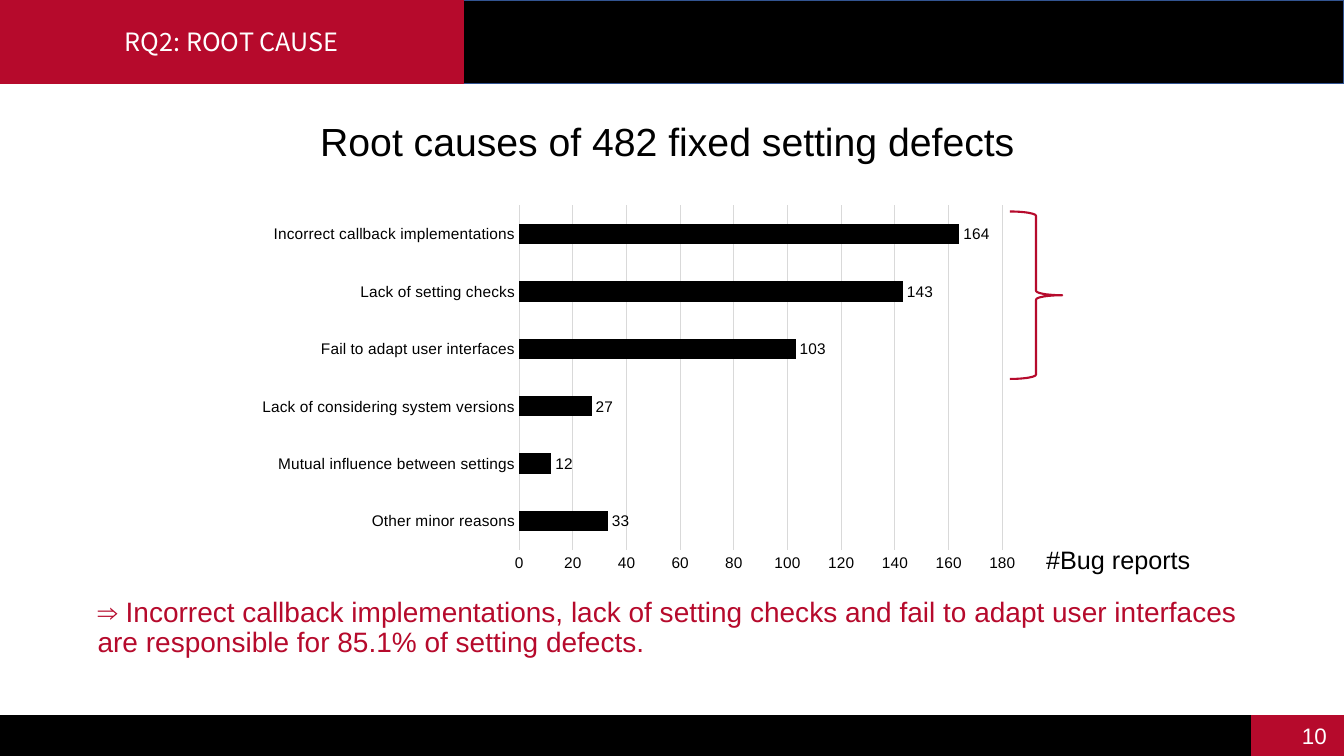
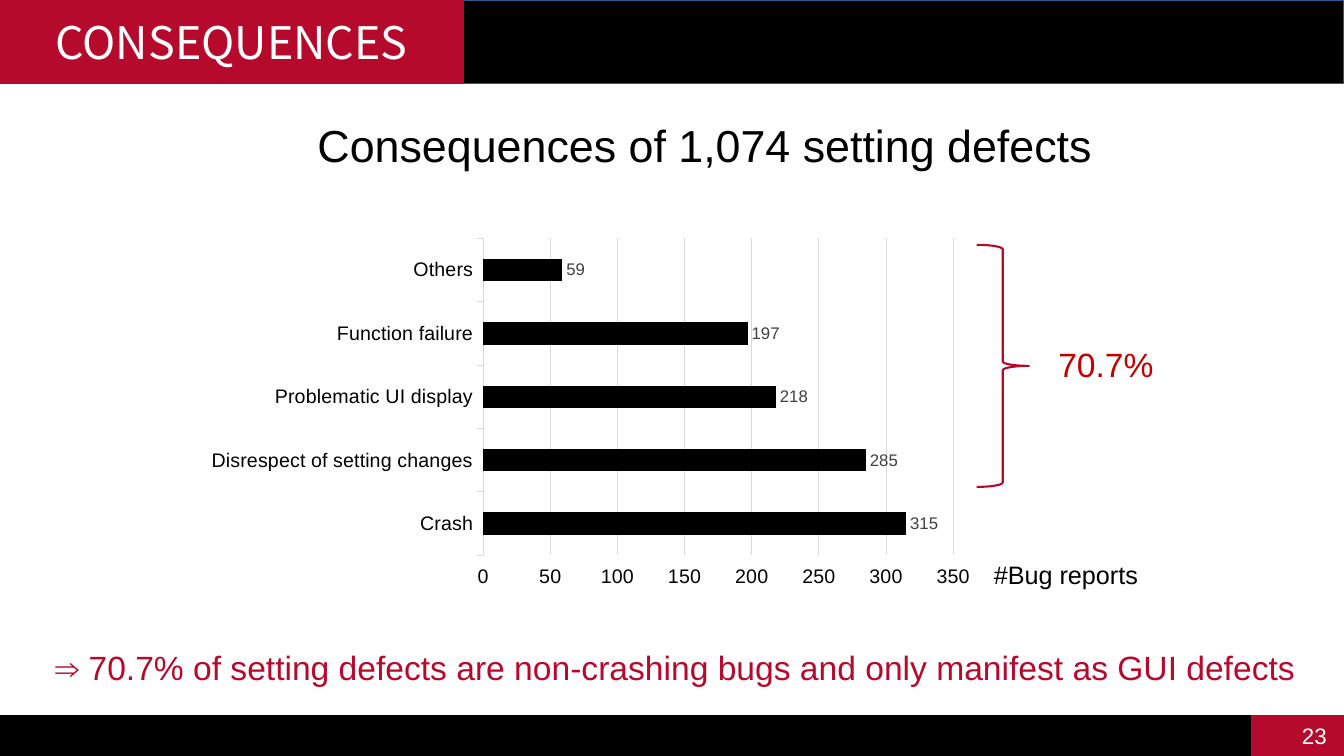
from lxml import etree
from pptx import Presentation
from pptx import util as u
from pptx.chart.data import CategoryChartData
from pptx.dml.color import RGBColor
from pptx.enum import chart as ch, shapes, text
from pptx.oxml import parse_xml
from pptx.oxml.ns import nsdecls

BLACK = RGBColor(0, 0, 0)
WHITE = RGBColor(255, 255, 255)
RED = RGBColor(0xB6, 0x0A, 0x2C)
DARK = RGBColor(0xC0, 0, 0)
BLUE = RGBColor(0x32, 0x54, 0x91)
GRID = RGBColor(0xD9, 0xD9, 0xD9)
GRAY = RGBColor(0x40, 0x40, 0x40)
SANS = "Arial"
HEAD = "Noto Sans CJK SC"
MID = text.PP_ALIGN.CENTER
WIDE = 33.87


def shape(slide, kind, box, fill, line, width=1):
    item = slide.shapes.add_shape(kind, *map(u.Cm, box))
    item.shadow.inherit = False
    if fill is None:
        item.fill.background()
    else:
        item.fill.solid()
        item.fill.fore_color.rgb = fill
    item.line.color.rgb = line
    item.line.width = u.Pt(width)
    return item


def write(slide, box, words, size, color, font=SANS, align=None, item=None):
    item = item or slide.shapes.add_textbox(*map(u.Cm, box))
    frame = item.text_frame
    frame.word_wrap = True
    para = frame.paragraphs[0]
    para.text = words
    para.alignment = align
    para.font.name = font
    para.font.size = u.Pt(size)
    para.font.color.rgb = color
    return frame


pages = [
    dict(
        head="RQ2: ROOT CAUSE", hsize=18, num="10",
        title="Root causes of 482 fixed setting defects", tsize=28,
        tbox=(7.82, 2.82, 18.3, 1.45),
        cbox=(6.1, 4.98, 19.96, 9.65), plot=(0.35, 0.02, 0.61, 0.9),
        data={
            "Other minor reasons": 33,
            "Mutual influence between settings": 12,
            "Lack of considering system versions": 27,
            "Fail to adapt user interfaces": 103,
            "Lack of setting checks": 143,
            "Incorrect callback implementations": 164,
        },
        top=180, step=20, tick=ch.XL_TICK_MARK.NONE,
        asize=11, lsize=11, lcolor=BLACK,
        brace=(25.45, 5.33, 1.32, 4.22), unit=(25.32, 13.59, 4.93, 1.02),
        end="⇒ Incorrect callback implementations, lack of setting checks and "
            "fail to adapt user interfaces are responsible for 85.1% of setting defects.",
        esize=20, ebox=(2.21, 14.94, 29.41, 1.8),
    ),
    dict(
        head="CONSEQUENCES", hsize=32, num="23",
        title="Consequences of 1,074 setting defects", tsize=32,
        tbox=(7.75, 2.84, 20.3, 1.63),
        cbox=(4.93, 5.82, 19.91, 9.19), plot=(0.364, 0.02, 0.595, 0.87),
        data={
            "Crash": 315,
            "Disrespect of setting changes": 285,
            "Problematic UI display": 218,
            "Function failure": 197,
            "Others": 59,
        },
        top=350, step=50, tick=ch.XL_TICK_MARK.OUTSIDE,
        asize=14, lsize=12, lcolor=GRAY,
        brace=(24.61, 6.17, 1.32, 6.1), unit=(24, 13.97, 4.93, 1.02),
        share="70.7%", sbox=(26.42, 8.53, 3.12, 1.27),
        end="⇒ 70.7% of setting defects are non-crashing bugs and only manifest as GUI defects",
        esize=24, ebox=(1.14, 16.28, 32.08, 1.17),
    ),
]

deck = Presentation()
deck.slide_width = u.Cm(WIDE)
deck.slide_height = u.Cm(19.05)
blank = deck.slide_layouts[6]
rect = shapes.MSO_SHAPE.RECTANGLE
base = deck.slide_master.shapes.element

for page in pages:
    slide = deck.slides.add_slide(blank)
    if page is pages[0]:
        for left, fill in ((0, BLACK), (31.54, RED)):
            foot = shape(slide, rect, (left, 18.03, WIDE - left, 1.02), fill, fill)
            base.append(foot.element)

    shape(slide, rect, (0, 0, WIDE, 2.11), BLACK, BLUE)
    band = shape(slide, rect, (0, 0, 11.68, 2.11), RED, RED)
    write(slide, None, page["head"], page["hsize"], WHITE, HEAD, MID, band)
    num = write(slide, (32.39, 17.88, 1.47, 1.3), page["num"], 16, WHITE, align=MID)
    num.vertical_anchor = text.MSO_ANCHOR.MIDDLE

    data = CategoryChartData()
    data.categories = list(page["data"])
    data.add_series("Series 1", list(page["data"].values()))
    chart = slide.shapes.add_chart(
        ch.XL_CHART_TYPE.BAR_CLUSTERED, *map(u.Cm, page["cbox"]), data).chart
    chart.has_legend = False
    chart.has_title = False
    chart.font.name = SANS
    chart.font.size = u.Pt(page["asize"])
    chart.font.color.rgb = BLACK
    for axis in (chart.category_axis, chart.value_axis):
        axis.major_tick_mark = page["tick"]
        axis.minor_tick_mark = ch.XL_TICK_MARK.NONE
        axis.tick_labels.font.size = u.Pt(page["asize"])
    row, val = chart.category_axis, chart.value_axis
    val.minimum_scale, val.maximum_scale = 0, page["top"]
    val.major_unit = page["step"]
    val.format.line.fill.background()
    for line in (row.format.line, val.major_gridlines.format.line):
        line.color.rgb = GRID
        line.width = u.Pt(0.75)
    bars = chart.plots[0]
    bars.gap_width = 182
    bars.vary_by_categories = False
    fill = bars.series[0].format.fill
    fill.solid()
    fill.fore_color.rgb = BLACK
    bars.has_data_labels = True
    tags = bars.data_labels
    tags.show_value = True
    tags.position = ch.XL_LABEL_POSITION.OUTSIDE_END
    tags.font.name = SANS
    tags.font.size = u.Pt(page["lsize"])
    tags.font.color.rgb = page["lcolor"]

    area = chart.element.chart.plotArea
    for old in area.findall("{*}layout"):
        area.remove(old)
    lay = parse_xml(f'<c:layout {nsdecls("c")}><c:manualLayout/></c:layout>')
    parts = [("layoutTarget", "inner"), ("xMode", "edge"), ("yMode", "edge")]
    parts += zip("xywh", page["plot"])
    for tag, value in parts:
        name = etree.QName(lay).namespace
        etree.SubElement(lay[0], f"{{{name}}}{tag}", val=str(value))
    area.insert(0, lay)

    write(slide, page["tbox"], page["title"], page["tsize"], BLACK)
    write(slide, page["unit"], "#Bug reports", 18, BLACK, align=text.PP_ALIGN.RIGHT)
    shape(slide, shapes.MSO_SHAPE.RIGHT_BRACE, page["brace"], None, RED, 1.5)
    if "share" in page:
        write(slide, page["sbox"], page["share"], 24, DARK)
    end = write(slide, page["ebox"], page["end"], page["esize"], RED)
    end.paragraphs[0].line_spacing = 0.9

deck.save("out.pptx")
